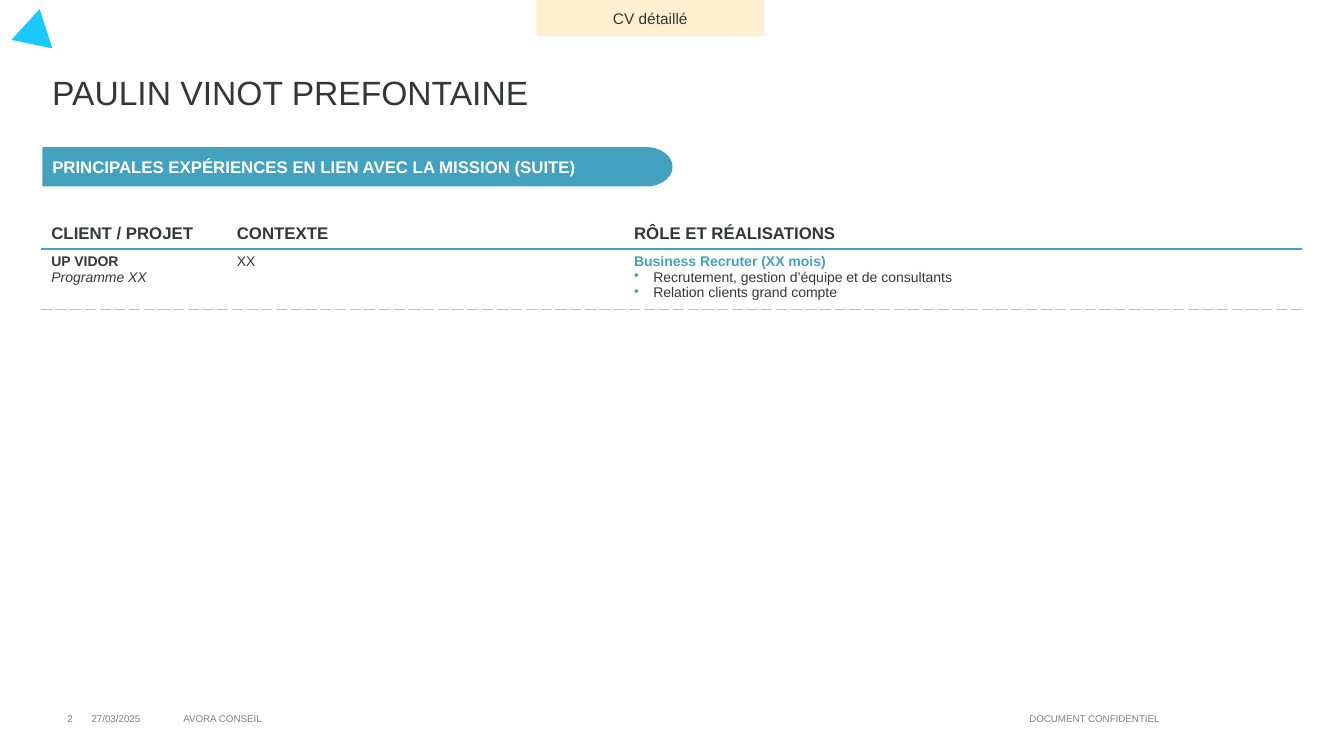
from dataclasses import dataclass
from math import cos, pi, sin

from lxml.etree import SubElement
from pptx import Presentation
from pptx.dml.color import RGBColor
from pptx.enum.shapes import MSO_SHAPE as Shape
from pptx.enum.text import MSO_ANCHOR as Anchor, PP_ALIGN as Align
from pptx.oxml import parse_xml
from pptx.oxml.ns import nsdecls, qn
from pptx.util import Inches, Pt


@dataclass(frozen=True)
class Theme:
    font: str = "Arial"
    ink: str = "353637"
    accent: str = "43A2BF"
    sky: str = "1AC9FF"
    cream: str = "FFEFD1"
    white: str = "FFFFFF"
    muted: str = "808080"
    rule: str = "BFBFBF"
    title_size: int = 24
    heading_size: int = 12
    tag_size: int = 11
    body_size: int = 10
    footer_size: int = 7


@dataclass(frozen=True)
class Line:
    """One paragraph with its type style."""
    text: str
    size: int
    color: str
    bold: bool = False
    italic: bool = False
    align: Align = Align.LEFT
    bullet: bool = False


class SlideBuilder:
    def __init__(self, slide, theme):
        self.shapes = slide.shapes
        self.theme = theme

    def set_lines(self, frame, lines):
        for index, line in enumerate(lines):
            paragraph = frame.add_paragraph() if index else frame.paragraphs[0]
            paragraph.text = line.text
            paragraph.alignment = line.align
            if line.bullet:
                self.add_bullet(paragraph)
            font = paragraph.font
            font.name, font.size = self.theme.font, Pt(line.size)
            font.bold, font.italic = line.bold, line.italic
            font.color.rgb = RGBColor.from_string(line.color)

    def add_bullet(self, paragraph):
        properties = paragraph._p.get_or_add_pPr()
        properties.set("marL", str(Inches(0.19)))
        properties.set("indent", str(-Inches(0.19)))
        color = SubElement(properties, qn("a:buClr"))
        SubElement(color, qn("a:srgbClr"), val=self.theme.accent)
        SubElement(properties, qn("a:buChar"), char="•")

    def text(self, box, line, wrap=True):
        frame = self.shapes.add_textbox(*map(Inches, box)).text_frame
        frame.word_wrap = wrap
        frame.vertical_anchor = Anchor.MIDDLE
        self.set_lines(frame, [line])

    def paint(self, shape, color, line=None):
        shape.shadow.inherit = False
        shape.fill.solid()
        shape.fill.fore_color.rgb = RGBColor.from_string(color)
        shape.line.fill.background()
        if line:
            shape.text_frame.word_wrap = True
            shape.text_frame.vertical_anchor = Anchor.MIDDLE
            self.set_lines(shape.text_frame, [line])

    def shape(self, kind, box, color, line=None, rotation=0):
        shape = self.shapes.add_shape(kind, *map(Inches, box))
        shape.rotation = rotation
        self.paint(shape, color, line)

    def ribbon(self, box, cap, color, line):
        """Draw a band whose right end is a half ellipse, cap inches wide."""
        left, top, width, height = box
        center_x, center_y = left + width - cap, top + height / 2
        steps = 32
        angles = [-pi / 2 + pi * step / steps for step in range(steps + 1)]
        arc = [(center_x + cap * cos(a), center_y + height / 2 * sin(a)) for a in angles]
        outline = self.shapes.build_freeform(Inches(left), Inches(top), scale=1.0)
        outline.add_line_segments(
            [(Inches(x), Inches(y)) for x, y in arc + [(left, top + height)]])
        self.paint(outline.convert_to_shape(), color, line)

    def border(self, cell, **sides):
        """Set cell borders from side=(color, dash), sides in the order L, R, T, B."""
        properties = cell._tc.get_or_add_tcPr()
        for index, (side, (color, dash)) in enumerate(sides.items()):
            properties.insert(index, parse_xml(
                f'<a:ln{side} {nsdecls("a")} w="{Pt(1)}"><a:solidFill>'
                f'<a:srgbClr val="{color}"/></a:solidFill>'
                f'<a:prstDash val="{dash}"/></a:ln{side}>'))

    def table(self, box, widths, heights, rows):
        theme = self.theme
        table = self.shapes.add_table(len(rows), len(widths), *map(Inches, box)).table
        table.first_row = table.horz_banding = False
        for column, width in zip(table.columns, widths):
            column.width = Inches(width)
        for row, height in zip(table.rows, heights):
            row.height = Inches(height)
        side = (theme.white, "solid")
        head_rule = (theme.accent, "solid")
        row_rule = (theme.rule, "sysDash")
        for r, row in enumerate(rows):
            for c, lines in enumerate(row):
                cell = table.cell(r, c)
                cell.fill.background()
                cell.vertical_anchor = Anchor.TOP if r else Anchor.MIDDLE
                self.set_lines(cell.text_frame, lines)
                edges = {"T": head_rule, "B": row_rule} if r else {"B": head_rule}
                self.border(cell, L=side, R=side, **edges)


def main():
    presentation = Presentation()
    presentation.slide_width, presentation.slide_height = Inches(13.33), Inches(7.5)
    theme = Theme()
    page = SlideBuilder(presentation.slides.add_slide(presentation.slide_layouts[6]), theme)

    def body(text, color=theme.ink, **style):
        return Line(text, theme.body_size, color, **style)

    def footer(left, width, text, align=Align.LEFT, wrap=True):
        page.text((left, 6.93, width, 0.4),
                  Line(text, theme.footer_size, theme.muted, align=align), wrap)

    footer(10.1, 1.51, "DOCUMENT CONFIDENTIEL", Align.CENTER, wrap=False)
    page.shape(Shape.ISOSCELES_TRIANGLE, (0.08, 0.16, 0.41, 0.36), theme.sky, rotation=252.2)

    headings = ["CLIENT / PROJET", "CONTEXTE", "RÔLE ET RÉALISATIONS"]
    experience = [
        [body("UP VIDOR", bold=True), body("Programme XX", italic=True)],
        [body("XX")],
        [body("Business Recruter (XX mois)", theme.accent, bold=True),
         body("Recrutement, gestion d’équipe et de consultants", bullet=True),
         body("Relation clients grand compte", bullet=True)],
    ]
    header = [[Line(text, theme.heading_size, theme.ink, bold=True)] for text in headings]
    page.table((0.41, 2.17, 12.5, 0.85), (1.84, 3.94, 6.72), (0.28, 0.4), [header, experience])

    page.text((0.42, 0.53, 12.5, 0.76),
              Line("PAULIN VINOT PREFONTAINE", theme.title_size, theme.ink))
    footer(0.42, 0.4, "2", Align.RIGHT)
    footer(0.81, 0.9, "27/03/2025")
    page.ribbon((0.42, 1.46, 6.25, 0.39), 0.26, theme.accent,
                Line("PRINCIPALES EXPÉRIENCES EN LIEN AVEC LA MISSION (SUITE)",
                     theme.heading_size, theme.white, bold=True))
    page.shape(Shape.RECTANGLE, (5.32, 0, 2.26, 0.36), theme.cream,
               Line("CV détaillé", theme.tag_size, theme.ink, align=Align.CENTER))
    footer(1.72, 8.39, "AVORA CONSEIL")

    presentation.save("out.pptx")


if __name__ == "__main__":
    main()
